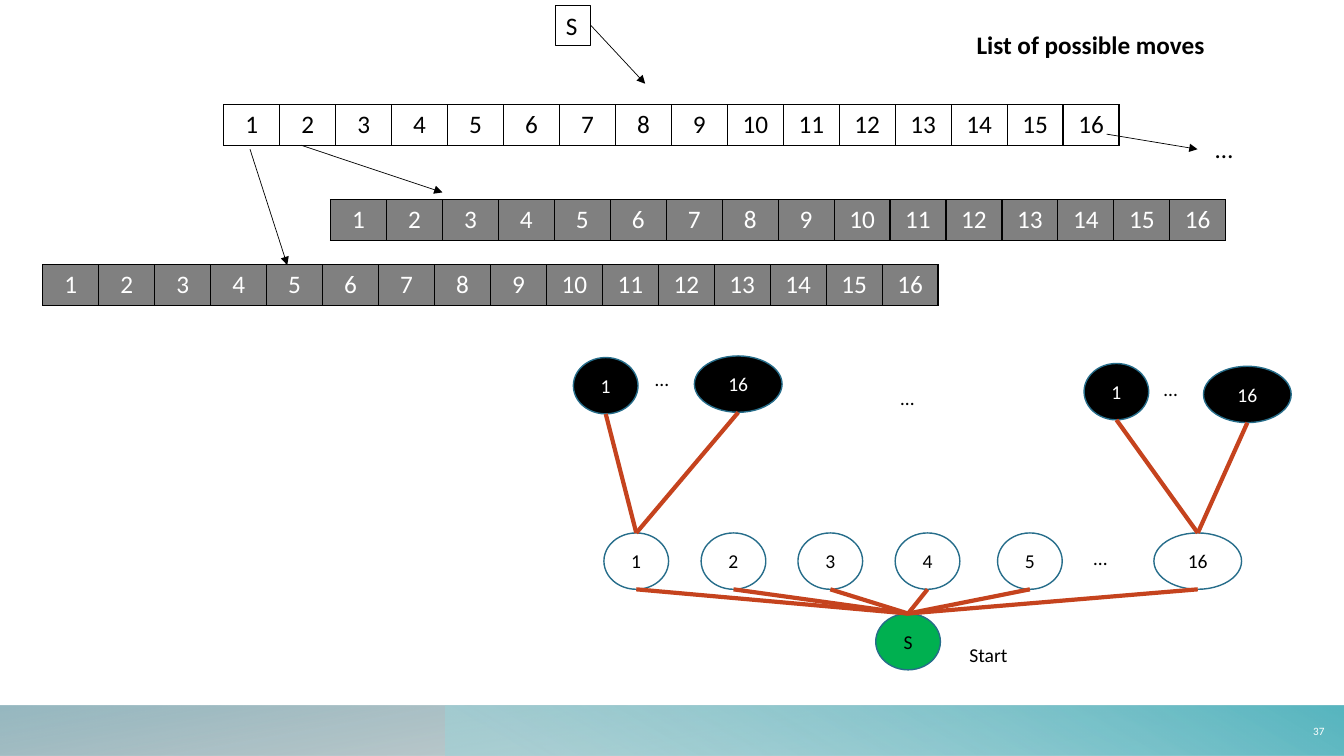
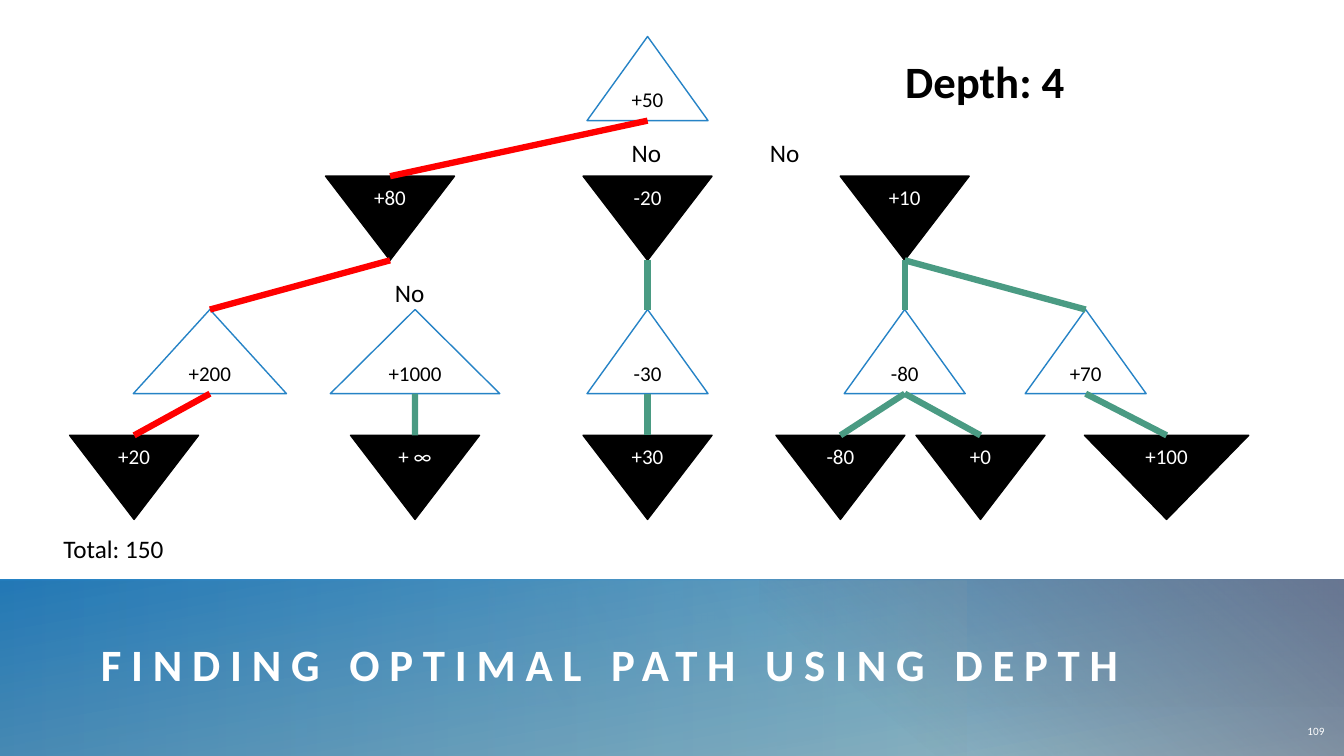
"""Build two slides: a tree of possible moves and a search for the best path."""
from lxml import etree
from pptx import Presentation
from pptx import util as u
from pptx.dml.color import RGBColor
from pptx.enum import shapes, text
from pptx.oxml.ns import qn

COLORS = {
    "white": "FFFFFF", "black": "000000", "grey": "808080", "start": "00B050",
    "outline": "266D8A", "branch": "C5431E", "blue": "2683C6", "navy": "1D6294",
    "best": "FF0000", "other": "4A9B83", "mist": "84ACB6", "slate": "7A8C8E",
    "aqua": "9BD3D9", "teal": "58B6C0", "violet": "635F7C",
}
FONT = "Calibri"
LEFT, CENTER, RIGHT = text.PP_ALIGN.LEFT, text.PP_ALIGN.CENTER, text.PP_ALIGN.RIGHT
MIDDLE, TOP = text.MSO_ANCHOR.MIDDLE, text.MSO_ANCHOR.TOP
KIND = shapes.MSO_SHAPE


def rgb(name):
    return RGBColor.from_string(COLORS[name])


def cm(*values):
    return [u.Cm(value) for value in values]


class Deck:
    def __init__(self):
        self.show = Presentation()
        self.show.slide_width, self.show.slide_height = cm(33.87, 19.05)
        self.slide = None

    def new_slide(self):
        self.slide = self.show.slides.add_slide(self.show.slide_layouts[6])

    def page_number(self, number):
        self.label(number, 32.41, 17.81, 1.22, 1.24, 8, "white",
                   align=RIGHT, anchor=MIDDLE, wrap=True)

    def add_words(self, paragraph, words, size, color, align=LEFT, bold=False):
        paragraph.alignment = align
        run = paragraph.add_run()
        run.text = words
        for key, value in {"name": FONT, "size": u.Pt(size), "bold": bold}.items():
            setattr(run.font, key, value)
        run.font.color.rgb = rgb(color)

    def label(self, words, x, y, w, h, size=18, color="black", bold=False,
              align=LEFT, anchor=TOP, wrap=False):
        box = self.slide.shapes.add_textbox(*cm(x, y, w, h))
        frame = box.text_frame
        fit = text.MSO_AUTO_SIZE.NONE if wrap else text.MSO_AUTO_SIZE.SHAPE_TO_FIT_TEXT
        for key, value in {"word_wrap": wrap, "auto_size": fit, "vertical_anchor": anchor}.items():
            setattr(frame, key, value)
        self.add_words(frame.paragraphs[0], words, size, color, align, bold)
        return box

    def title(self, words):
        box = self.label(words, 2.54, 15.57, 29.72, 2.29, 32, "white", True,
                         anchor=MIDDLE, wrap=True)
        frame = box.text_frame
        for side in ("left", "top", "right", "bottom"):
            setattr(frame, f"margin_{side}", 0)
        frame.paragraphs[0].runs[0].font._element.set("spc", "700")

    def shape(self, kind, x, y, w, h):
        shape = self.slide.shapes.add_shape(kind, *cm(x, y, w, h))
        shape.shadow.inherit = False
        return shape

    def node(self, kind, words, x, y, w, h, fill, line, size, color):
        node = self.shape(kind, x, y, w, h)
        node.fill.solid()
        node.fill.fore_color.rgb = rgb(fill)
        node.line.color.rgb = rgb(line)
        node.line.width = u.Pt(1)
        node.text_frame.vertical_anchor = MIDDLE
        self.add_words(node.text_frame.paragraphs[0], words, size, color, CENTER)
        return node

    def band(self, x, y, w, h, stops, angle, rotation=0, flip=False):
        band = self.shape(KIND.RECTANGLE, x, y, w, h)
        band.line.fill.background()
        band.rotation = rotation
        if flip:
            band.element.spPr.xfrm.set("flipH", "1")
        band.fill.gradient()
        band.fill.gradient_angle = 360 - angle
        for stop, (position, color, _) in zip(band.fill.gradient_stops, stops):
            stop.position = position / 100
            stop.color.rgb = rgb(color)
        tints = list(band.element.spPr.iter(qn("a:srgbClr")))
        for tint, (_, _, opacity) in zip(tints, stops):
            etree.SubElement(tint, qn("a:alpha"), val=str(opacity * 1000))

    def line(self, x1, y1, x2, y2, color="black", width=0.5, arrow=False):
        line = self.slide.shapes.add_connector(
            shapes.MSO_CONNECTOR.STRAIGHT, *cm(x1, y1, x2, y2))
        line.line.color.rgb = rgb(color)
        line.line.width = u.Pt(width)
        if arrow:
            etree.SubElement(line.line._get_or_add_ln(), qn("a:tailEnd"), type="triangle")
        etree.SubElement(line._element.spPr, qn("a:effectLst"))
        return line

    def edge(self, upper, lower, color, width):
        middle = upper.left + upper.width // 2
        line = self.line(u.Length(middle).cm, u.Length(upper.top + upper.height).cm,
                         0, 0, color, width)
        if upper.auto_shape_type == KIND.FLOWCHART_MERGE:
            line.begin_connect(upper, 2)
        line.end_connect(lower, 0)

    def move_row(self, x, y, color, fill=None):
        count, width = 16, 1.41
        table = self.slide.shapes.add_table(1, count, *cm(x, y, count * width, 1.03)).table
        table.first_row = table.horz_banding = False
        for column in table.columns:
            column.width = u.Cm(width)
        for move, cell in enumerate(table.iter_cells(), 1):
            for side in "LRTB":
                border = etree.SubElement(cell._tc.get_or_add_tcPr(), qn(f"a:ln{side}"), w="12700")
                paint = etree.SubElement(border, qn("a:solidFill"))
                etree.SubElement(paint, qn("a:srgbClr"), val=COLORS["black"])
            if fill:
                cell.fill.solid()
                cell.fill.fore_color.rgb = rgb(fill)
            else:
                cell.fill.background()
            self.add_words(cell.text_frame.paragraphs[0], str(move), 18, color, CENTER)


def moves_slide(deck):
    deck.new_slide()
    deck.band(0, 17.78, 33.87, 1.27, [(14, "slate", 28), (100, "mist", 85)], 100, 180, True)
    deck.band(11.23, 17.78, 22.64, 1.27, [(9, "aqua", 55), (99, "teal", 100)], 240, flip=True)
    deck.page_number("37")

    def circle(words, x, y, fill, color):
        width = 2.21 if words == "16" else 1.63
        return deck.node(KIND.OVAL, words, x, y, width, 1.42, fill, "outline", 14, color)

    start = circle("S", 22.07, 15.46, "start", "black")
    first_moves = {}
    for move, x in {"1": 15.22, "2": 17.67, "3": 20.11, "4": 22.56, "5": 25.14, "16": 29.08}.items():
        first_moves[move] = circle(move, x, 13.43, "white", "black")
        deck.edge(first_moves[move], start, "branch", 3)
    for parent, reply, x, y in [("1", "1", 14.45, 9.01), ("1", "16", 17.5, 8.97),
                                ("16", "1", 27.32, 9.16), ("16", "16", 30.33, 9.23)]:
        answer = circle(reply, x, y, "black", "white")
        deck.edge(answer, first_moves[parent], "branch", 3)
    for x, y in [(27.31, 13.64), (16.26, 9.12), (22.45, 9.6), (29.08, 9.37)]:
        deck.label("…", x, y, 1.02, 0.86, 14)
    deck.label("Start", 24.18, 16.08, 1.52, 0.86, 14)

    deck.move_row(1.08, 6.67, "white", "grey")
    deck.move_row(8.33, 5.03, "white", "grey")
    deck.move_row(5.64, 2.64, "black")
    deck.label("…", 30.38, 3.23, 1.04, 1.02)
    deck.label("List of possible moves", 24.36, 0.61, 6.88, 1.02, bold=True)
    root = deck.label("S", 14.01, 0.13, 0.88, 1.02)
    root.line.color.rgb = rgb("black")
    root.line.width = u.Pt(0.75)
    deck.line(14.89, 0.64, 16.26, 2.11, arrow=True).begin_connect(root, 3)
    for ends in [(6.3, 3.76, 7.24, 6.68), (7.59, 3.66, 11.15, 4.85), (27.89, 3.38, 30.18, 3.76)]:
        deck.line(*ends, arrow=True)


def depth_slide(deck):
    deck.new_slide()
    deck.band(0, 14.61, 33.87, 4.44, [(0, "mist", 83), (100, "blue", 100)], 260)
    deck.band(12.34, 14.63, 21.53, 3.18, [(0, "mist", 30), (99, "mist", 0)], 330, 180)
    deck.band(0, 14.63, 24.36, 4.42, [(0, "navy", 31), (99, "mist", 23)], 0)
    deck.band(19.15, 14.61, 14.72, 4.44, [(22, "violet", 0), (99, "violet", 66)], 310)
    deck.title("FINDING OPTIMAL PATH USING DEPTH")
    deck.page_number("109")

    level_tops = [0.92, 4.44, 7.8, 10.97]
    tree = [
        ("+50", 0, 16.32, 3.05, None, None),
        ("+80", 1, 9.83, 3.25, 0, "best"),
        ("-20", 1, 16.32, 3.25, None, None),
        ("+10", 1, 22.8, 3.25, None, None),
        ("+200", 2, 5.29, 3.86, 1, "best"),
        ("+1000", 2, 10.46, 4.27, None, None),
        ("-30", 2, 16.32, 3.05, 2, "other"),
        ("-80", 2, 22.8, 3.05, 3, "other"),
        ("+70", 2, 27.36, 3.05, 3, "other"),
        ("+20", 3, 3.38, 3.25, 4, "best"),
        ("+ ∞", 3, 10.46, 3.25, 5, "other"),
        ("+30", 3, 16.32, 3.25, 6, "other"),
        ("-80", 3, 21.18, 3.25, 7, "other"),
        ("+0", 3, 24.71, 3.25, 7, "other"),
        ("+100", 3, 29.4, 4.14, 8, "other"),
    ]
    styles = [(KIND.ISOSCELES_TRIANGLE, "white", "blue", "black"),
              (KIND.FLOWCHART_MERGE, "black", "black", "white")]
    nodes = []
    for score, level, center, width, parent, branch_color in tree:
        kind, fill, outline, color = styles[level % 2]
        nodes.append(deck.node(kind, score, center - width / 2, level_tops[level],
                               width, 2.12, fill, outline, 15, color))
        if parent is not None:
            deck.edge(nodes[parent], nodes[-1], branch_color, 4.5)

    deck.label("Depth: 4", 22.56, 1.22, 5.03, 1.3, 32, bold=True)
    deck.label("Total: 150", 1.35, 13.31, 3.35, 1.02)
    for x, y in [(9.7, 6.86), (15.67, 3.33), (19.15, 3.33)]:
        deck.label("No", x, y, 1.4, 0.81)


def main():
    deck = Deck()
    moves_slide(deck)
    depth_slide(deck)
    deck.show.save("out.pptx")


if __name__ == "__main__":
    main()
